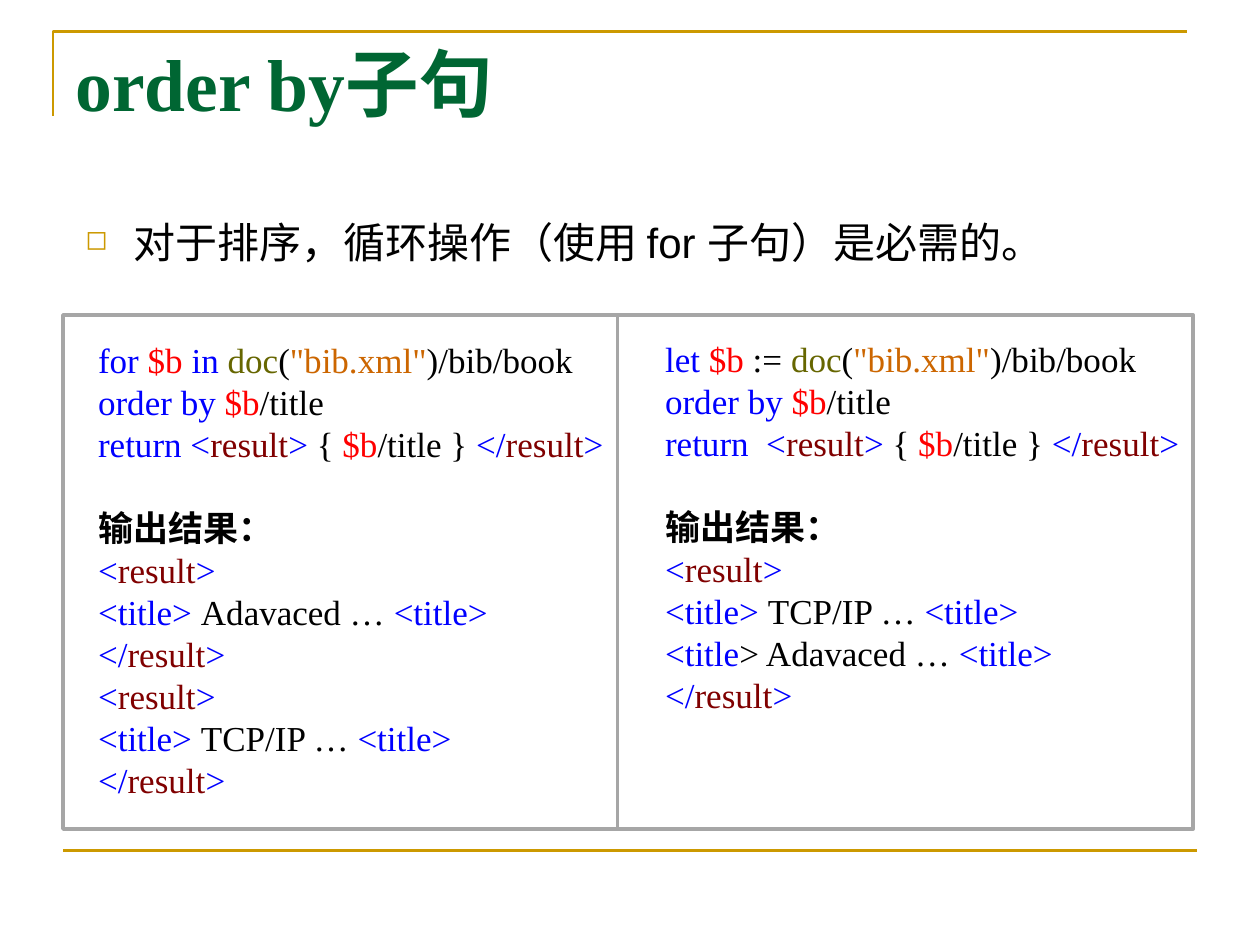
from lxml.etree import SubElement
from pptx import Presentation
from pptx.dml.color import RGBColor
from pptx.enum.shapes import MSO_CONNECTOR, MSO_SHAPE
from pptx.enum.text import MSO_ANCHOR, MSO_AUTO_SIZE, PP_ALIGN
from pptx.oxml.ns import qn
from pptx.util import Inches, Pt

# Content: each code line is a list of (text, colour) spans
BLUE, RED, BLACK = "0000FF", "FF0000", "000000"
OLIVE, ORANGE, MAROON = "666600", "CC6600", "800000"
GOLD, GREEN, GRAY = "CC9900", "006633", "A6A6A6"

TITLE = "order by子句"
POINT = "对于排序，循环操作（使用 for 子句）是必需的。"
HEADING = "输出结果："

SOURCE = [("doc", OLIVE), ("(", BLACK), ('"bib.xml"', ORANGE), (")/bib/book", BLACK)]
ORDER = [("order by ", BLUE), ("$b", RED), ("/title", BLACK)]
OPEN = [("<", BLUE), ("result", MAROON), (">", BLUE)]
CLOSE = [("</", BLUE), ("result", MAROON), (">", BLUE)]
VALUE = [(" { ", BLACK), ("$b", RED), ("/title } ", BLACK)]
RESULT = OPEN + VALUE + CLOSE
ADVANCED = [("<title> ", BLUE), ("Adavaced … ", BLACK), ("<title>", BLUE)]
ADVANCED_LET = [("<title", BLUE), ("> Adavaced … ", BLACK), ("<title>", BLUE)]
NETWORK = [("<title> ", BLUE), ("TCP/IP … ", BLACK), ("<title>", BLUE)]

# Each panel: frame left and width, text box, query lines, output lines
PANELS = [
    {"frame": (0.5, 4.4), "box": (0.68, 2.64, 4.21, 4.67),
     "query": [[("for ", BLUE), ("$b ", RED), ("in ", BLUE)] + SOURCE,
               ORDER, [("return ", BLUE)] + RESULT],
     "output": [OPEN, ADVANCED, CLOSE, OPEN, NETWORK, CLOSE]},
    {"frame": (4.9, 4.57), "box": (5.18, 2.63, 4.28, 3.1),
     "query": [[("let ", BLUE), ("$b", RED), (" := ", BLACK)] + SOURCE,
               ORDER, [("return  ", BLUE)] + RESULT],
     "output": [OPEN, NETWORK, ADVANCED_LET, CLOSE]},
]
FRAME_TOP, FRAME_HEIGHT = 2.5, 4.08
LINE_PITCH = 24


def color(code):
    return RGBColor.from_string(code)


def add_span(para, text, size=20, font="Times New Roman", fill=BLACK, bold=False):
    span = para.add_run()
    span.text = text
    span.font.size = Pt(size)
    span.font.name = font
    span.font.bold = bold
    span.font.color.rgb = color(fill)


def set_outline(shape, code, width):
    shape.line.color.rgb = color(code)
    shape.line.width = Pt(width)


def prepare_frame(shape, wrap):
    frame = shape.text_frame
    frame.word_wrap = wrap
    frame.auto_size = MSO_AUTO_SIZE.NONE
    frame.vertical_anchor = MSO_ANCHOR.TOP
    return frame


def add_box(page, place, wrap):
    box = page.shapes.add_textbox(*map(Inches, place))
    return prepare_frame(box, wrap)


def set_bullet(para, char, code, percent, indent):
    props = para._p.get_or_add_pPr()
    props.set("marL", str(Inches(indent)))
    props.set("indent", str(-Inches(indent)))
    tint = SubElement(props, qn("a:buClr"))
    SubElement(tint, qn("a:srgbClr"), val=code)
    SubElement(props, qn("a:buSzPct"), val=str(percent * 1000))
    SubElement(props, qn("a:buChar"), char=char)


def add_code(page, panel):
    frame = add_box(page, panel["box"], wrap=False)
    heading = [(HEADING, BLACK)]
    for number, line in enumerate(panel["query"] + [heading] + panel["output"]):
        para = frame.add_paragraph() if number else frame.paragraphs[0]
        para.line_spacing = Pt(LINE_PITCH)
        if line is heading:
            para.space_before = Pt(LINE_PITCH)
        for text, fill in line:
            add_span(para, text, fill=fill, bold=line is heading)


def main():
    deck = Presentation()
    deck.slide_width, deck.slide_height = Inches(10), Inches(7.5)
    page = deck.slides.add_slide(deck.slide_layouts[5])

    # Corner rule and bottom rule
    builder = page.shapes.build_freeform(Inches(0.42), Inches(0.92))
    builder.add_line_segments(
        [(Inches(0.42), Inches(0.25)), (Inches(9.42), Inches(0.25))], close=False)
    corner = builder.convert_to_shape()
    corner.shadow.inherit = False
    corner.fill.background()
    set_outline(corner, GOLD, 1.5)
    rule = page.shapes.add_connector(
        MSO_CONNECTOR.STRAIGHT, Inches(0.5), Inches(6.75), Inches(9.5), Inches(6.75))
    SubElement(rule._element.spPr, qn("a:effectLst"))
    set_outline(rule, GOLD, 1.5)

    # Title
    title = page.shapes.title
    title.left, title.top = Inches(0.5), Inches(0.25)
    title.width, title.height = Inches(9), Inches(1.25)
    para = prepare_frame(title, wrap=True).paragraphs[0]
    para.alignment = PP_ALIGN.LEFT
    add_span(para, TITLE, size=42, fill=GREEN, bold=True)

    # Bullet point
    para = add_box(page, (0.58, 1.67, 9, 0.67), wrap=True).paragraphs[0]
    set_bullet(para, "◻", GOLD, 65, 0.38)
    para.alignment = PP_ALIGN.JUSTIFY
    add_span(para, POINT, size=24, font="Arial")

    # Code panels and their frames
    for panel in PANELS:
        add_code(page, panel)
        left, width = panel["frame"]
        border = page.shapes.add_shape(
            MSO_SHAPE.RECTANGLE, *map(Inches, (left, FRAME_TOP, width, FRAME_HEIGHT)))
        border.shadow.inherit = False
        border.fill.background()
        set_outline(border, GRAY, 2)

    deck.save("out.pptx")


if __name__ == "__main__":
    main()
